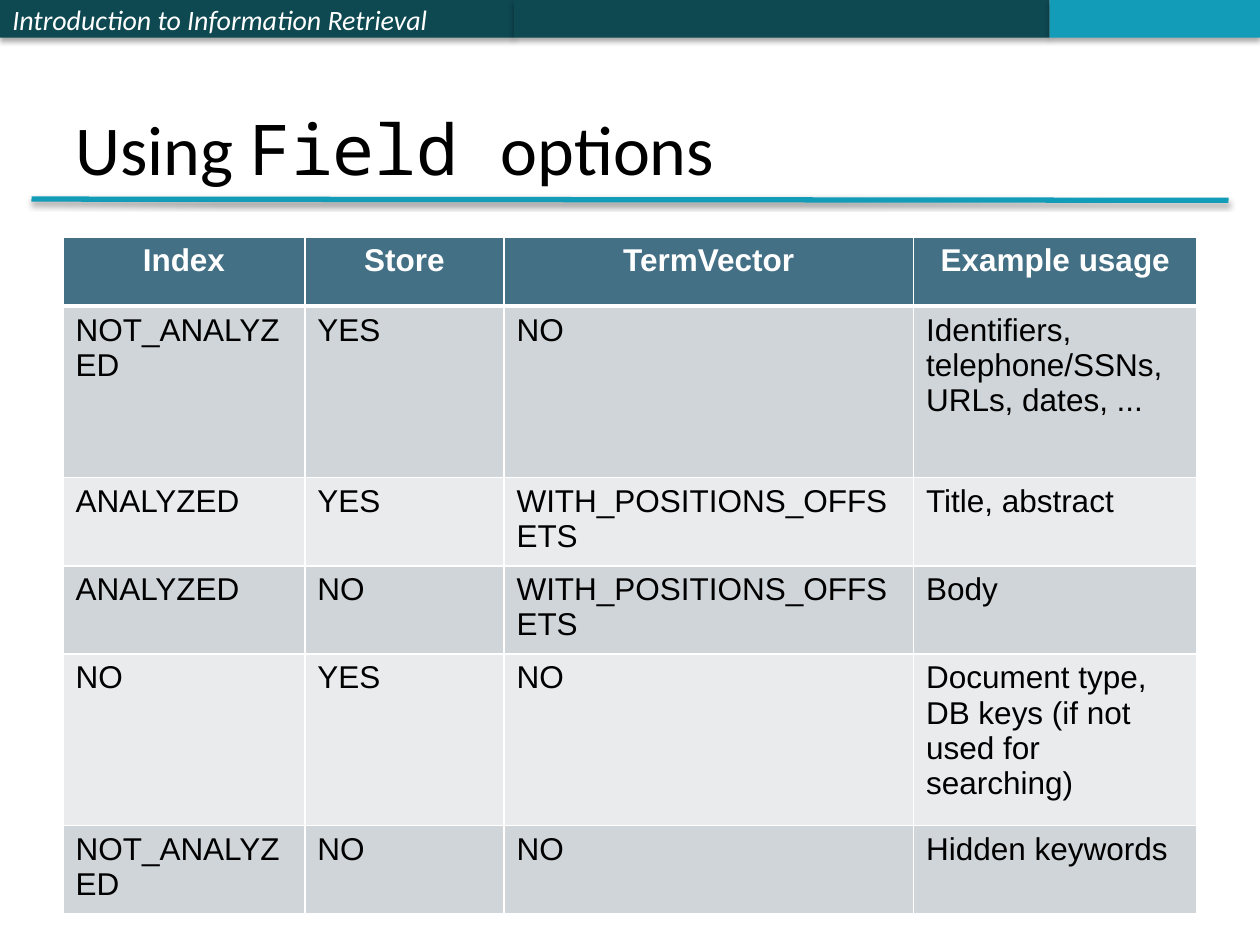
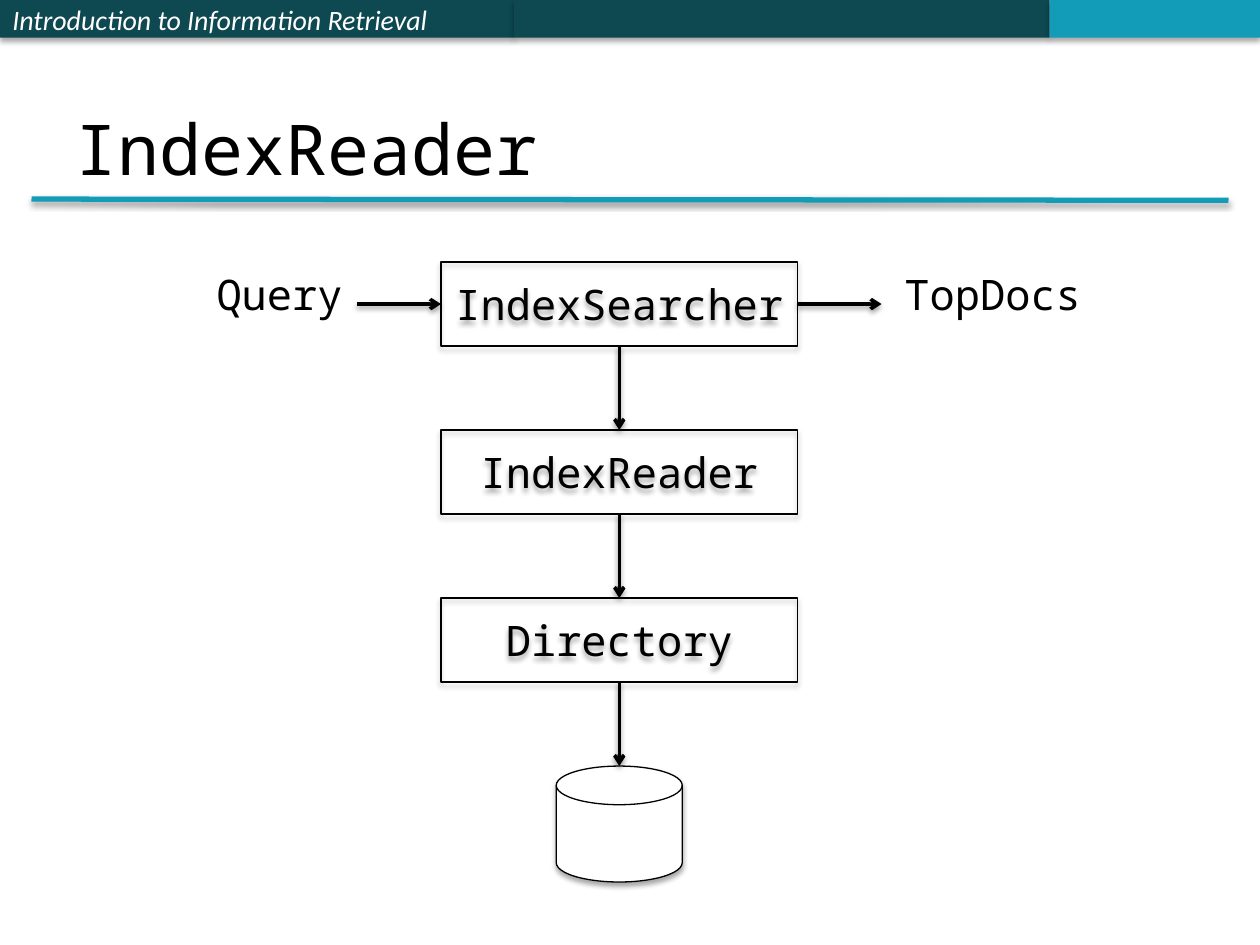
from lxml import etree
from pptx import Presentation
from pptx.dml.color import RGBColor
from pptx.enum.shapes import MSO_CONNECTOR, MSO_SHAPE
from pptx.enum.text import MSO_ANCHOR, MSO_AUTO_SIZE, PP_ALIGN
from pptx.oxml.ns import qn
from pptx.util import Inches, Pt

# Colours and fonts
BLACK = RGBColor(0x00, 0x00, 0x00)
WHITE = RGBColor(0xFF, 0xFF, 0xFF)
DARK_TEAL = RGBColor(0x0E, 0x48, 0x51)
BRIGHT_TEAL = RGBColor(0x13, 0x9C, 0xB7)
HEADER_BLUE = RGBColor(0x43, 0x70, 0x85)
ROW_DARK = RGBColor(0xCF, 0xD5, 0xD9)
ROW_LIGHT = RGBColor(0xE9, 0xEB, 0xED)
SANS, MONO, TABLE_FONT = "Calibri", "Noto Sans Mono", "Arial"

# Table content
COLUMN_WIDTHS = [1.92, 1.58, 3.25, 2.25]
ROW_HEIGHTS = [0.55, 1.36, 0.55, 0.55, 1.36, 0.55]
FIELD_OPTIONS = [
    ["Index", "Store", "TermVector", "Example usage"],
    ["NOT_ANALYZED", "YES", "NO", "Identifiers, telephone/SSNs, URLs, dates, ..."],
    ["ANALYZED", "YES", "WITH_POSITIONS_OFFSETS", "Title, abstract"],
    ["ANALYZED", "NO", "WITH_POSITIONS_OFFSETS", "Body"],
    ["NO", "YES", "NO", "Document type, DB keys (if not used for searching)"],
    ["NOT_ANALYZED", "NO", "NO", "Hidden keywords"],
]

# Diagram grid
BOX_LEFT, BOX_TOP, BOX_WIDTH = 3.5, 2.08, 2.83
BOX_HEIGHT = ARROW_LENGTH = 2 / 3
BOX_STEP = BOX_HEIGHT + ARROW_LENGTH


def add_element(parent, tag, **attributes):
    element = etree.SubElement(parent, qn(tag))
    for name, value in attributes.items():
        element.set(name, str(value))
    return element


def add_shadow(shape, opacity=35, distance=1.8):
    effects = add_element(shape._element.spPr, "a:effectLst")
    shadow = add_element(effects, "a:outerShdw", blurRad=Pt(3.1), dist=Pt(distance),
                         dir=90 * 60000, rotWithShape=0)
    colour = add_element(shadow, "a:srgbClr", val=BLACK)
    add_element(colour, "a:alpha", val=opacity * 1000)


def format_run(run, size, font_name, colour, bold=False, italic=False):
    font = run.font
    font.size, font.name, font.bold, font.italic = Pt(size), font_name, bold, italic
    font.color.rgb = colour


def add_box(slide, left, top, width, height, fill=None, line=None, kind=MSO_SHAPE.RECTANGLE):
    shape = slide.shapes.add_shape(kind, Inches(left), Inches(top), Inches(width), Inches(height))
    if fill is None:
        shape.fill.background()
    else:
        shape.fill.solid()
        shape.fill.fore_color.rgb = fill
    if line is None:
        shape.line.fill.background()
    else:
        shape.line.color.rgb = line
        shape.line.width = Pt(0.75)
    add_shadow(shape)
    return shape


def set_box_text(shape, text, size, font_name, colour, align=PP_ALIGN.LEFT, italic=False):
    frame = shape.text_frame
    frame.text = text
    frame.vertical_anchor = MSO_ANCHOR.MIDDLE
    frame.word_wrap = True
    paragraph = frame.paragraphs[0]
    paragraph.alignment = align
    format_run(paragraph.runs[0], size, font_name, colour, italic=italic)


def add_line(slide, start, end, colour, width, arrow=False):
    points = [Inches(value) for value in (*start, *end)]
    connector = slide.shapes.add_connector(MSO_CONNECTOR.STRAIGHT, *points)
    connector.line.color.rgb = colour
    connector.line.width = Pt(width)
    if arrow:
        add_element(connector.line._get_or_add_ln(), "a:tailEnd", type="arrow")
    add_shadow(connector, opacity=38, distance=1.6)


def add_label(slide, text, left, top, width, height):
    label = slide.shapes.add_textbox(Inches(left), Inches(top), Inches(width), Inches(height))
    frame = label.text_frame
    frame.text = text
    frame.word_wrap = False
    frame.auto_size = MSO_AUTO_SIZE.SHAPE_TO_FIT_TEXT
    format_run(frame.paragraphs[0].runs[0], 24, MONO, BLACK)


def add_title(slide, parts):
    title = slide.shapes.add_textbox(Inches(0.5), Inches(0.3), Inches(9), Inches(1.25))
    frame = title.text_frame
    frame.word_wrap = True
    frame.vertical_anchor = MSO_ANCHOR.BOTTOM
    for text, font_name in parts:
        run = frame.paragraphs[0].add_run()
        run.text = text
        format_run(run, 40, font_name, BLACK)


def add_base_slide(presentation, title_parts):
    """Blank slide with the top band, the title and its rule."""
    slide = presentation.slides.add_slide(presentation.slide_layouts[6])
    course = add_box(slide, 0, 0, 4.08, 0.3, DARK_TEAL)
    set_box_text(course, "Introduction to Information Retrieval", 16, SANS, WHITE, italic=True)
    add_box(slide, 4.08, 0, 4.25, 0.3, DARK_TEAL)
    add_box(slide, 8.33, 0, 1.67, 0.3, BRIGHT_TEAL)
    add_line(slide, (0.25, 1.58), (9.75, 1.59), BRIGHT_TEAL, 3)
    add_title(slide, title_parts)
    return slide


def set_cell_borders(cell, top, bottom):
    properties = cell._tc.get_or_add_tcPr()
    for side, width in (("L", 1), ("R", 1), ("T", top), ("B", bottom)):
        border = add_element(properties, f"a:ln{side}", w=Pt(width))
        add_element(add_element(border, "a:solidFill"), "a:srgbClr", val=WHITE)


def format_cell(cell, text, row):
    is_header = row == 0
    set_cell_borders(cell, top=3 if row == 1 else 1, bottom=3 if is_header else 1)
    cell.fill.solid()
    cell.fill.fore_color.rgb = HEADER_BLUE if is_header else ROW_DARK if row % 2 else ROW_LIGHT
    cell.text = text
    paragraph = cell.text_frame.paragraphs[0]
    paragraph.alignment = PP_ALIGN.CENTER if is_header else PP_ALIGN.LEFT
    format_run(paragraph.runs[0], 18, TABLE_FONT, WHITE if is_header else BLACK, bold=is_header)


def add_options_table(slide):
    table = slide.shapes.add_table(
        len(ROW_HEIGHTS), len(COLUMN_WIDTHS), Inches(0.5), Inches(1.88),
        Inches(sum(COLUMN_WIDTHS)), Inches(sum(ROW_HEIGHTS))).table
    for column, width in zip(table.columns, COLUMN_WIDTHS):
        column.width = Inches(width)
    for row, height in zip(table.rows, ROW_HEIGHTS):
        row.height = Inches(height)
    for row_index, texts in enumerate(FIELD_OPTIONS):
        for column_index, text in enumerate(texts):
            format_cell(table.cell(row_index, column_index), text, row_index)


def add_reader_diagram(slide):
    center = BOX_LEFT + BOX_WIDTH / 2
    right = BOX_LEFT + BOX_WIDTH
    middle = BOX_TOP + BOX_HEIGHT / 2

    # Stack of classes above the disk
    names = ["IndexSearcher", "IndexReader", "Directory"]
    tops = [BOX_TOP + index * BOX_STEP for index in range(len(names))]
    for name, top in zip(names, tops):
        box = add_box(slide, BOX_LEFT, top, BOX_WIDTH, BOX_HEIGHT, line=BLACK)
        set_box_text(box, name, 24, MONO, BLACK, PP_ALIGN.CENTER)
    add_box(slide, center - 0.5, BOX_TOP + len(names) * BOX_STEP, 1, 0.92, WHITE, BLACK,
            MSO_SHAPE.FLOWCHART_MAGNETIC_DISK)

    # Arrows down the stack, then in and out of the searcher
    for top in tops:
        add_line(slide, (center, top + BOX_HEIGHT), (center, top + BOX_STEP), BLACK, 2, arrow=True)
    for start in (BOX_LEFT - ARROW_LENGTH, right):
        add_line(slide, (start, middle), (start + ARROW_LENGTH, middle), BLACK, 2, arrow=True)
    add_label(slide, "Query", 1.62, BOX_TOP, 1.21, 0.5)
    add_label(slide, "TopDocs", 7.08, BOX_TOP, 1.62, 0.5)


def main():
    presentation = Presentation()
    presentation.slide_width = Inches(10)
    presentation.slide_height = Inches(7.5)

    # Field options
    slide = add_base_slide(presentation, [("Using ", SANS), ("Field ", MONO), ("options", SANS)])
    add_options_table(slide)

    # IndexReader
    slide = add_base_slide(presentation, [("IndexReader", MONO)])
    add_reader_diagram(slide)

    presentation.save("out.pptx")


if __name__ == "__main__":
    main()
